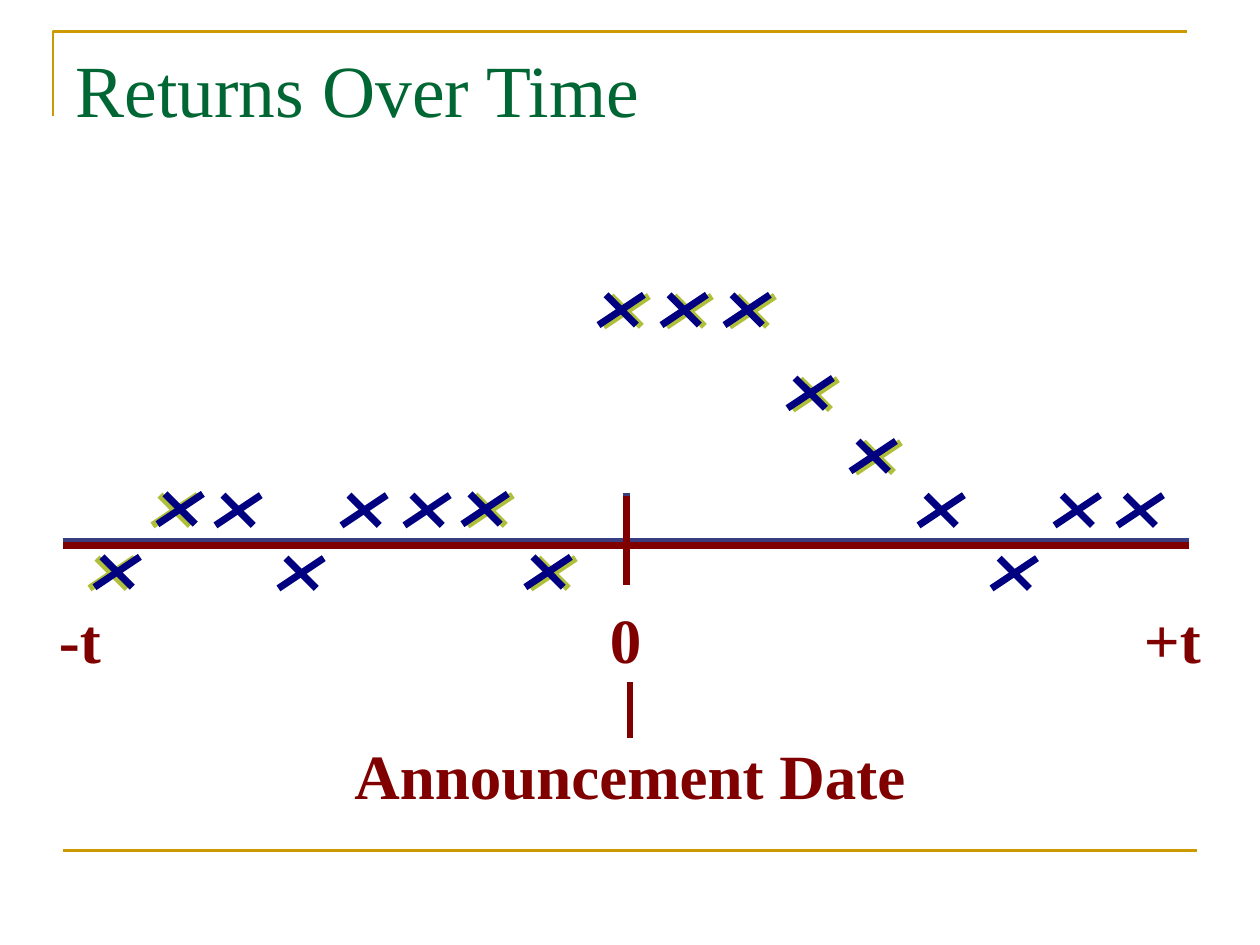
"""Build the slide "Returns Over Time": crosses for returns around an announcement date."""
from lxml import etree
from pptx import Presentation
from pptx.dml.color import RGBColor
from pptx.enum.shapes import MSO_CONNECTOR
from pptx.enum.text import MSO_ANCHOR, MSO_AUTO_SIZE, PP_ALIGN
from pptx.oxml.ns import qn
from pptx.util import Inches, Pt

STRAIGHT = MSO_CONNECTOR.STRAIGHT
TOP = MSO_ANCHOR.TOP
GROW = MSO_AUTO_SIZE.SHAPE_TO_FIT_TEXT
LEFT, CENTER = PP_ALIGN.LEFT, PP_ALIGN.CENTER
GOLD = RGBColor(0xCC, 0x99, 0x00)
GREEN = RGBColor(0x00, 0x66, 0x33)
MAROON = RGBColor(0x80, 0x00, 0x00)
NAVY = RGBColor(0x00, 0x00, 0x80)
SLATE = RGBColor(0x39, 0x3E, 0x81)
OLIVE = RGBColor(0xAF, 0xBF, 0x39)
FONT = "Times New Roman"
STEP = 0.5
HIGH, LOW = 3.93, 4.43


def draw_line(shapes, start, end, color, width=4):
    line = shapes.add_connector(STRAIGHT, *map(Inches, start + end))
    line.line.color.rgb = color
    line.line.width = Pt(width)
    etree.SubElement(line._element.spPr, qn("a:effectLst"))


def draw_cross(left, top, color):
    shapes = slide.shapes.add_group_shape().shapes
    draw_line(shapes, (left + 0.06, top), (left + 0.3, top + 0.24), color)
    draw_line(shapes, (left + 0.36, top), (left, top + 0.24), color)


deck = Presentation()
deck.slide_width, deck.slide_height = Inches(10), Inches(7.5)
slide = deck.slides.add_slide(deck.slide_layouts[5])

pen = slide.shapes.build_freeform(Inches(0.42), Inches(0.92))
pen.add_line_segments([(Inches(0.42), Inches(0.25)), (Inches(9.42), Inches(0.25))], close=False)
frame = pen.convert_to_shape()
frame.shadow.inherit = False
frame.fill.background()
frame.line.color.rgb = GOLD
frame.line.width = Pt(1.5)
draw_line(slide.shapes, (0.5, 6.75), (9.5, 6.75), GOLD, 1.5)

title = slide.shapes.title
title.left, title.top, title.width, title.height = map(Inches, (0.5, 0.3, 9, 1.25))
title.text_frame.text = "Returns Over Time"
title.text_frame.vertical_anchor = TOP
head = title.text_frame.paragraphs[0]
head.alignment = LEFT
head.font.name, head.font.size = FONT, Pt(42)
head.font.color.rgb = GREEN

for text, left, top, width in (
    ("-t", 0.37, 4.72, 0.53),
    ("0", 4.74, 4.72, 0.45),
    ("+t", 8.98, 4.72, 0.65),
    ("Announcement Date", 2.6, 5.8, 4.8),
):
    box = slide.shapes.add_textbox(*map(Inches, (left, top, width, 0.7))).text_frame
    box.word_wrap = False
    box.auto_size = GROW
    box.text = text
    label = box.paragraphs[0]
    label.alignment = CENTER
    label.font.name, label.font.size, label.font.bold = FONT, Pt(36), True
    label.font.color.rgb = MAROON

draw_line(slide.shapes, (5, 5.41), (5, 5.86), MAROON)
for color, drop in ((SLATE, 0), (MAROON, 0.03)):
    draw_line(slide.shapes, (0.5, 4.3 + drop), (9.44, 4.3 + drop), color)
    draw_line(slide.shapes, (4.97, 3.91 + drop), (4.97, 4.61 + drop), color)

runs = (
    (0.71, (LOW, HIGH), 0.04),
    (1.71, (HIGH, LOW, HIGH, HIGH), 0),
    (3.71, (HIGH, LOW), -0.04),
    (4.79, (2.35, 2.35, 2.35, 3.01, 3.51), -0.04),
    (7.29, (HIGH,), 0),
    (7.87, (LOW, HIGH, HIGH), 0),
)
for start, tops, shift in runs:
    for index, top in enumerate(tops):
        left = start + index * STEP
        if shift:
            draw_cross(left, top, OLIVE)
            draw_cross(left + shift, top - 0.01, NAVY)
        else:
            draw_cross(left, top, NAVY)

deck.save("out.pptx")
